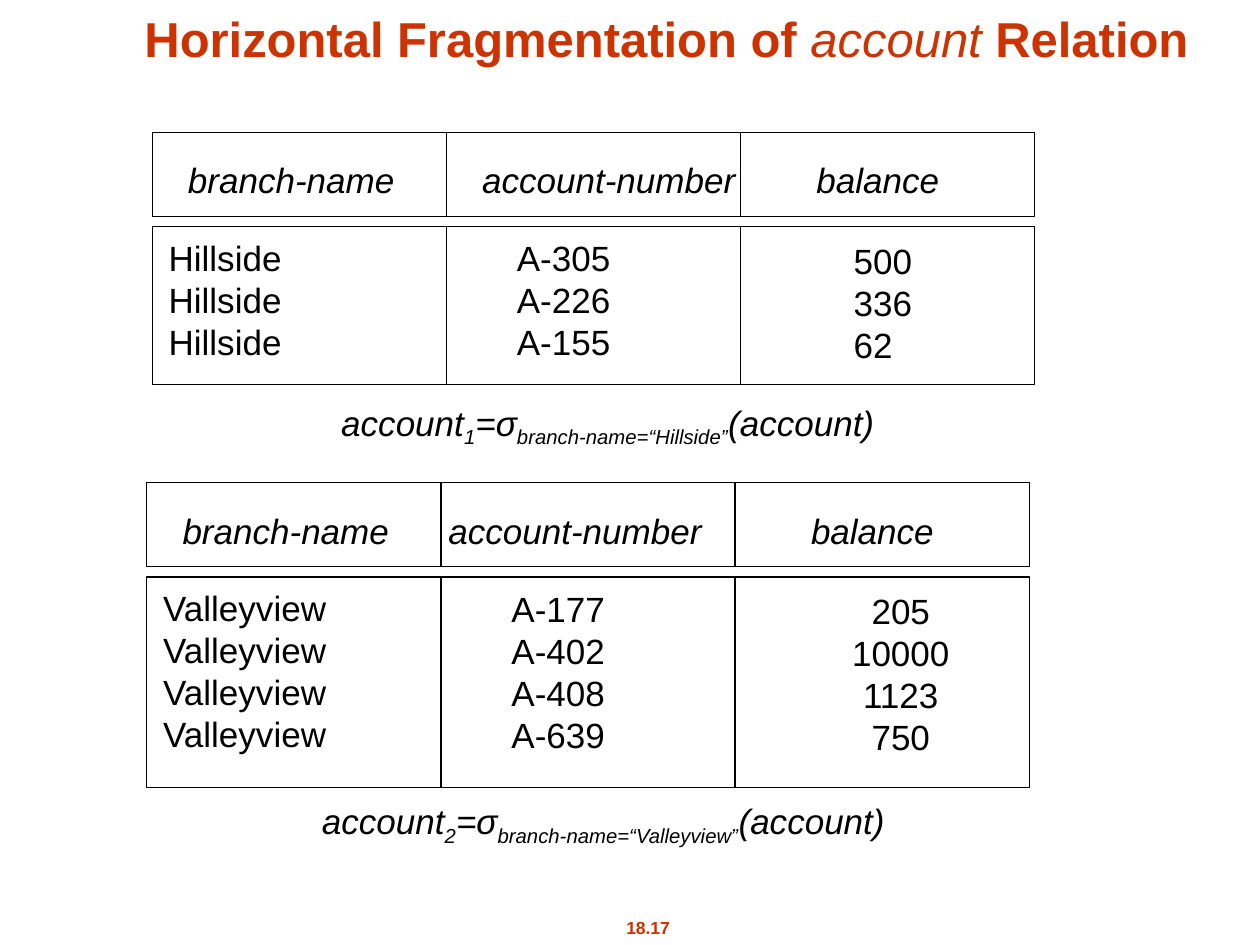
from pptx import Presentation
from pptx import util as u
from pptx.dml.color import RGBColor
from pptx.enum import shapes, text

Cm = u.Cm
RED, BLACK = "CC3300", "000000"
LEFT, CENTER = text.PP_ALIGN.LEFT, text.PP_ALIGN.CENTER


def color(value):
    return RGBColor.from_string(value)


def add_text(box, paragraphs, font, align=LEFT, wrap=False):
    """Add a text box; each paragraph is a list of (text, extra font values, baseline)."""
    text_box = slide.shapes.add_textbox(*(Cm(value) for value in box))
    frame = text_box.text_frame
    frame.word_wrap = wrap
    frame.auto_size = text.MSO_AUTO_SIZE.NONE if wrap else text.MSO_AUTO_SIZE.SHAPE_TO_FIT_TEXT
    for index, pieces in enumerate(paragraphs):
        paragraph = frame.paragraphs[0] if index == 0 else frame.add_paragraph()
        paragraph.alignment = align
        for words, extra, baseline in pieces:
            run = paragraph.add_run()
            run.text = words
            values = {"name": "Arial", "color": BLACK} | font | extra
            run.font.color.rgb = color(values.pop("color"))
            for name, value in values.items():
                setattr(run.font, name, value)
            if baseline:
                run.font._element.set("baseline", str(baseline * 1000))
    return frame


presentation = Presentation()
presentation.slide_width, presentation.slide_height = Cm(25.4), Cm(19.05)
slide = presentation.slides.add_slide(presentation.slide_layouts[6])

number = add_text((11.72, 18.37, 2.69, 0.69), [[("18.17", {}, 0)]],
                  {"size": u.Pt(10), "bold": True, "color": RED}, CENTER)
number.paragraphs[0].space_before = u.Pt(6.2)

title = add_text((1.05, 0, 24.77, 1.47),
                 [[("Horizontal Fragmentation of ", {}, 0),
                   ("account", {"bold": False, "italic": True}, 0),
                   (" Relation", {}, 0)]],
                 {"size": u.Pt(28), "bold": True, "color": RED}, CENTER, wrap=True)
title.vertical_anchor = text.MSO_ANCHOR.BOTTOM
title.paragraphs[0].line_spacing = 0.8

COLUMN_WIDTH, HEADER_HEIGHT, BODY_OFFSET = 5.93, 1.69, 1.9
PLAIN = {"size": u.Pt(20)}
ITALIC = PLAIN | {"italic": True}
HEADERS = ["branch-name", "account-number", "balance"]
HEADER_WIDTHS = [4.7, 5.65, 3.05]
BODY_TOPS = [0.07, 0.08, 0.13]

# Text insets are measured from the left edge of each column.
fragments = [
    {"branch": "Hillside", "index": "1", "left": 3.07, "top": 2.67, "body_height": 3.18,
     "accounts": ["A-305", "A-226", "A-155"], "balances": ["500", "336", "62"],
     "header_insets": [0.47, 0.47, 1.28], "body_insets": [0.08, 1.17, 2.03],
     "body_widths": [2.85, 2.45, 1.75], "text_height": 2.79,
     "balance_align": LEFT, "formula": (6.63, 7.96, 11.25, 1.22)},
    {"branch": "Valleyview", "index": "2", "left": 2.96, "top": 9.73, "body_height": 4.24,
     "accounts": ["A-177", "A-402", "A-408", "A-639"],
     "balances": ["205", "10000", "1123", "750"],
     "header_insets": [0.47, -0.1, 1.28], "body_insets": [0.08, 1.17, 2.07],
     "body_widths": [3.9, 2.45, 2.54], "text_height": 3.66,
     "balance_align": CENTER, "formula": (6.24, 16, 11.86, 2.08)},
]

for fragment in fragments:
    header_top = fragment["top"]
    body_top = header_top + BODY_OFFSET
    branches = [fragment["branch"]] * len(fragment["accounts"])
    columns = [branches, fragment["accounts"], fragment["balances"]]
    aligns = [LEFT, LEFT, fragment["balance_align"]]

    for top, height in ((header_top, HEADER_HEIGHT), (body_top, fragment["body_height"])):
        for column in range(len(columns)):
            left = fragment["left"] + column * COLUMN_WIDTH
            cell = slide.shapes.add_shape(shapes.MSO_SHAPE.RECTANGLE, Cm(left), Cm(top),
                                          Cm(COLUMN_WIDTH), Cm(height))
            cell.shadow.inherit = False
            cell.fill.background()
            cell.line.color.rgb = color(BLACK)
            cell.line.width = u.Pt(0.75)

    for column, entries in enumerate(columns):
        left = fragment["left"] + column * COLUMN_WIDTH
        add_text((left + fragment["header_insets"][column], header_top + 0.41,
                  HEADER_WIDTHS[column], 1.12), [[(HEADERS[column], {}, 0)]], ITALIC)
        add_text((left + fragment["body_insets"][column], body_top + BODY_TOPS[column],
                  fragment["body_widths"][column], fragment["text_height"]),
                 [[(entry, {}, 0)] for entry in entries], PLAIN, aligns[column])

    add_text(fragment["formula"],
             [[("account", {}, 0), (fragment["index"], {}, -25), ("=σ", {}, 0),
               (f"branch-name=“{fragment['branch']}”", {}, -25), ("(account)", {}, 0)]],
             ITALIC)

presentation.save("out.pptx")
